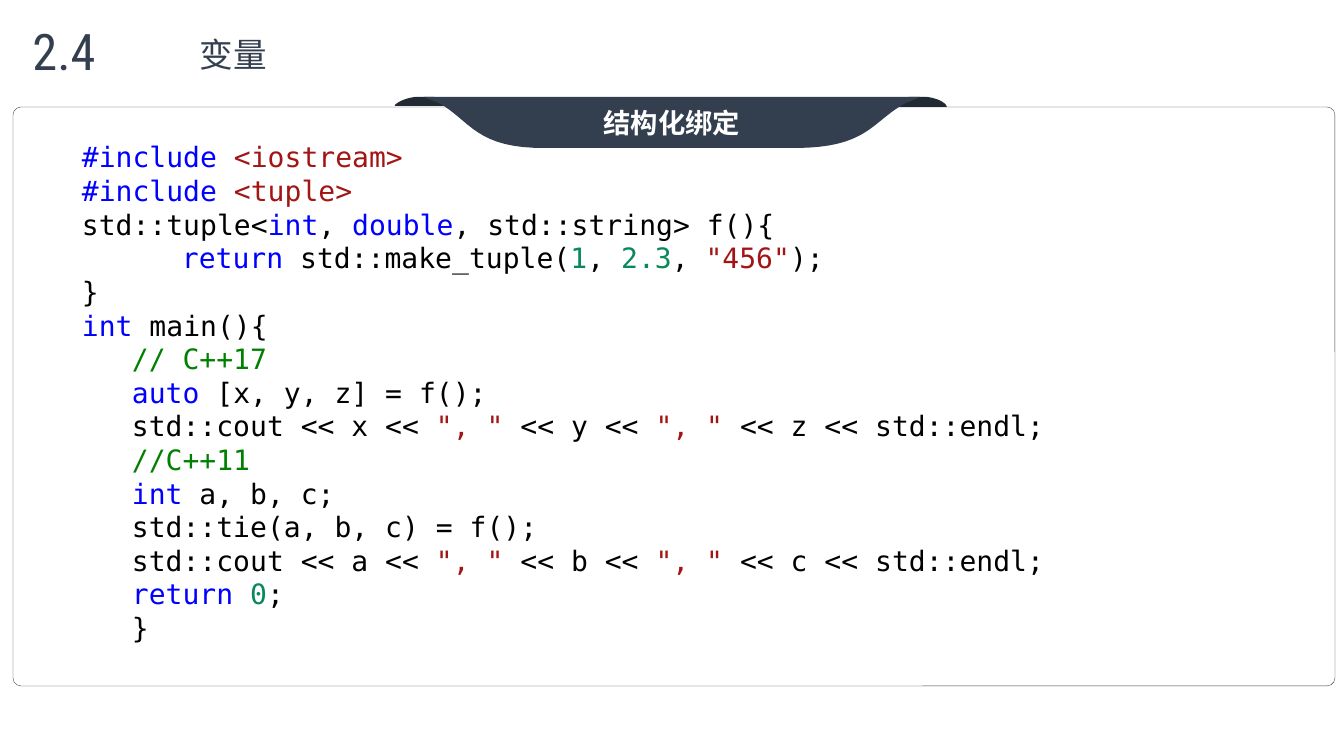
from pptx import Presentation
from pptx.dml.color import RGBColor
from pptx.enum.shapes import MSO_SHAPE
from pptx.enum.text import MSO_ANCHOR, PP_ALIGN
from pptx.oxml.ns import qn
from pptx.util import Pt

ROUNDED = MSO_SHAPE.ROUNDED_RECTANGLE
TOP, MIDDLE = MSO_ANCHOR.TOP, MSO_ANCHOR.MIDDLE
LEFT, CENTER = PP_ALIGN.LEFT, PP_ALIGN.CENTER

# Content
SECTION = "2.4"
TITLE = "变量"
TOPIC = "结构化绑定"
COLORS = {
    "slate": "333F4F", "fold": "222A34", "white": "FFFFFF",
    "keyword": "0000FF", "string": "A31515", "number": "09885A",
    "comment": "008000", "plain": "000000",
}
K, S, N, C, P = "keyword", "string", "number", "comment", "plain"


def print_line(first, second, third):
    return [(P, f"std::cout << {first} << "), (S, '", "'),
            (P, f" << {second} << "), (S, '", "'),
            (P, f" << {third} << std::endl;")]


# Each code line: indent level, then coloured tokens
CODE = [
    (0, [(K, "#include "), (S, "<iostream>")]),
    (0, [(K, "#include "), (S, "<tuple>")]),
    (0, [(P, "std::tuple<"), (K, "int"), (P, ", "), (K, "double"),
         (P, ", std::string> f(){")]),
    (2, [(K, "return"), (P, " std::make_tuple("), (N, "1"), (P, ", "),
         (N, "2.3"), (P, ", "), (S, '"456"'), (P, ");")]),
    (0, [(P, "}")]),
    (0, [(K, "int"), (P, " main(){")]),
    (1, [(C, "// C++17")]),
    (1, [(K, "auto"), (P, " [x, y, z] = f();")]),
    (1, print_line("x", "y", "z")),
    (1, [(C, "//C++11")]),
    (1, [(K, "int"), (P, " a, b, c;")]),
    (1, [(P, "std::tie(a, b, c) = f();")]),
    (1, print_line("a", "b", "c")),
    (1, [(K, "return "), (N, "0"), (P, ";")]),
    (1, [(P, "}")]),
]

# Outlines in px: a pair is a corner, three pairs are a Bezier curve
LEFT_FOLD = [(420, 97), (434, 97), ((443, 98), (451, 101), (454, 105)),
             (455, 106), (395, 106), (395, 105),
             ((399, 101), (407, 98), (415, 97))]
RIGHT_FOLD = [(915, 97), (927, 97), ((935, 98), (943, 101), (946, 105)),
              (947, 107), (890, 107), (890, 105),
              ((894, 101), (902, 98), (909, 97))]
RIBBON = [(424, 97), (920, 97), (904, 104),
          ((872, 122), (867, 148), (795, 148)), (547, 148),
          ((476, 149), (471, 121), (439, 103))]
CURVE_STEPS = 16
INDENT = 50

CJK, MONO, NUMERAL = "Noto Sans CJK SC", "DejaVu Sans Mono", "Roboto Condensed"


def px(value):
    return round(value * 914400 / 100.8)


def rgb(name):
    return RGBColor.from_string(COLORS[name])


def style(run, font, size, color, bold=False):
    run.font.name, run.font.size, run.font.bold = font, Pt(size), bold
    run.font.color.rgb = rgb(color)
    east_asian = run.font._element.makeelement(qn("a:ea"), {"typeface": font})
    run.font._element.find(qn("a:latin")).addnext(east_asian)


def place(shape, left, top, width, height):
    shape.left, shape.top = px(left), px(top)
    shape.width, shape.height = px(width), px(height)


def set_frame(shape, anchor, inset_x=10, inset_y=5):
    frame = shape.text_frame
    frame.word_wrap, frame.vertical_anchor = True, anchor
    frame.margin_left = frame.margin_right = px(inset_x)
    frame.margin_top = frame.margin_bottom = px(inset_y)
    return frame


def write_label(shape, text, font, size, color, bold=False, inset=(10, 5)):
    frame = set_frame(shape, MIDDLE, *inset)
    frame.text = text
    frame.paragraphs[0].alignment = CENTER
    style(frame.paragraphs[0].runs[0], font, size, color, bold)


def flatten(outline):
    points = []
    for step in outline:
        if isinstance(step[0], int):
            points.append(step)
            continue
        controls = (points[-1], *step)
        for i in range(1, CURVE_STEPS + 1):
            t = i / CURVE_STEPS
            weights = ((1 - t) ** 3, 3 * t * (1 - t) ** 2,
                       3 * t ** 2 * (1 - t), t ** 3)
            points.append(tuple(sum(w * c[axis] for w, c in zip(weights, controls))
                                for axis in (0, 1)))
    return [(px(x), px(y)) for x, y in points]


def draw_outline(shapes, outline, color):
    start, *rest = flatten(outline)
    builder = shapes.build_freeform(*start)
    builder.add_line_segments(rest, close=True)
    shape = builder.convert_to_shape()
    shape.shadow.inherit = False
    shape.fill.solid()
    shape.fill.fore_color.rgb = rgb(color)
    shape.line.fill.background()
    return shape


prs = Presentation()
prs.slide_width, prs.slide_height = px(1344), px(756)
slide = prs.slides.add_slide(prs.slide_layouts[5])
shapes = slide.shapes

# Heading
place(shapes.title, 109, 29, 249, 50)
write_label(shapes.title, TITLE, CJK, 24, "slate")
section_number = shapes.add_textbox(px(29), px(19), px(70), px(62))
write_label(section_number, SECTION, NUMERAL, 36, "slate", inset=(0, 0))

# Panel
panel = shapes.add_shape(ROUNDED, px(13), px(107), px(1322), px(579))
panel.adjustments[0] = 0.014
panel.shadow.inherit = False
panel.fill.background()
panel.line.color.rgb = rgb("slate")
panel.line.width = Pt(0.25)

# Ribbon with its folded ends
draw_outline(shapes, LEFT_FOLD, "fold")
draw_outline(shapes, RIGHT_FOLD, "fold")
ribbon = draw_outline(shapes, RIBBON, "slate")
write_label(ribbon, TOPIC, CJK, 19.5, "white", bold=True, inset=(12, 6))

# Code listing
listing = shapes.add_textbox(px(72), px(135), px(1178), px(519))
frame = set_frame(listing, TOP)
for number, (level, tokens) in enumerate(CODE):
    line = frame.add_paragraph() if number else frame.paragraphs[0]
    line.alignment, line.level, line.line_spacing = LEFT, level, Pt(24)
    properties = line._p.get_or_add_pPr()
    properties.set("marL", str(px(level * INDENT)))
    properties.set("indent", "0")
    for color, text in tokens:
        run = line.add_run()
        run.text = text
        style(run, MONO, 20, color)

prs.save("out.pptx")
